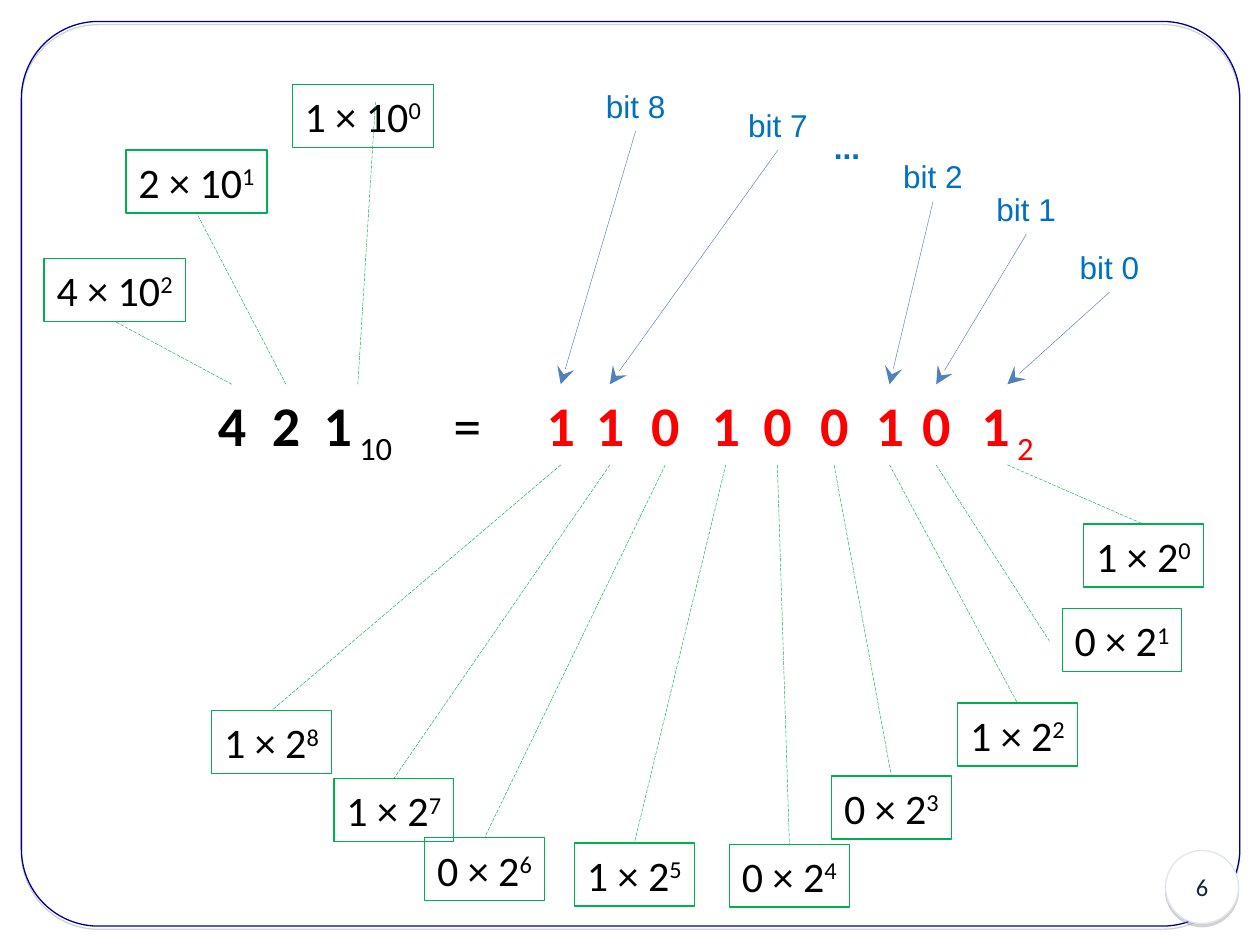
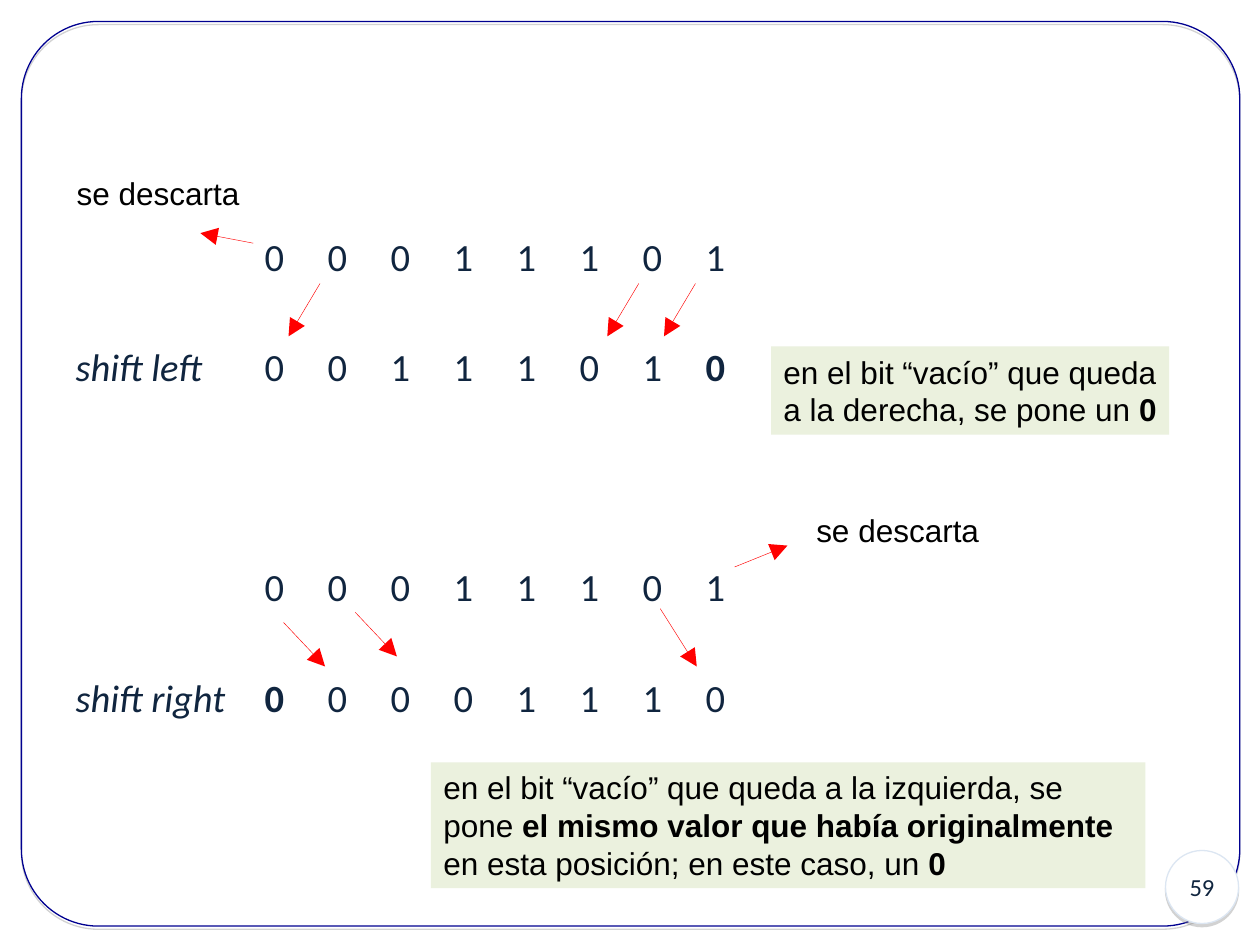
from lxml import etree
from pptx import Presentation
from pptx.dml.color import RGBColor
from pptx.enum.dml import MSO_LINE
from pptx.enum.shapes import MSO_CONNECTOR, MSO_SHAPE
from pptx.enum.text import MSO_ANCHOR, MSO_AUTO_SIZE, PP_ALIGN
from pptx.oxml.ns import qn
from pptx.util import Inches, Pt

STRAIGHT = MSO_CONNECTOR.STRAIGHT
RECTANGLE, ROUNDED, OVAL = MSO_SHAPE.RECTANGLE, MSO_SHAPE.ROUNDED_RECTANGLE, MSO_SHAPE.OVAL
TOP, MIDDLE = MSO_ANCHOR.TOP, MSO_ANCHOR.MIDDLE
LEFT, CENTER = PP_ALIGN.LEFT, PP_ALIGN.CENTER
FIT, FIXED = MSO_AUTO_SIZE.SHAPE_TO_FIT_TEXT, MSO_AUTO_SIZE.NONE
LONG_DASH = MSO_LINE.LONG_DASH

COLORS = {
    "black": "000000", "white": "FFFFFF", "red": "FF0000", "navy": "10253F",
    "frame": "000090", "badge": "DCE6F2", "shadow": "808080", "green": "00B050",
    "label": "0070C0", "arrow": "4F81BD", "note": "EBF1DE",
}
BOLD, ITALIC = {"bold": True}, {"italic": True}
SUPERSCRIPT, SUBSCRIPT = {"baseline": 30}, {"baseline": -25}


def color(name):
    return RGBColor.from_string(COLORS[name])


def add_text(shape, paragraphs, size=18, ink="black", font="Calibri", bold=False,
             fill=None, line=None, align=LEFT, anchor=TOP, wrap=False, fit=FIT):
    """Write paragraphs of (text, style) runs; a plain string is one run."""
    if fill:
        shape.fill.solid()
        shape.fill.fore_color.rgb = color(fill)
    else:
        shape.fill.background()
    if line:
        shape.line.color.rgb = color(line)
        shape.line.width = Pt(0.75)
    else:
        shape.line.fill.background()
    shape.shadow.inherit = False
    frame = shape.text_frame
    frame.word_wrap, frame.auto_size, frame.vertical_anchor = wrap, fit, anchor
    if isinstance(paragraphs, str):
        paragraphs = [[(paragraphs, {})]]
    for index, runs in enumerate(paragraphs):
        paragraph = frame.add_paragraph() if index else frame.paragraphs[0]
        paragraph.alignment = align
        for text, style in runs:
            run = paragraph.add_run()
            run.text = text
            run.font.name, run.font.size = font, Pt(size)
            run.font.color.rgb = color(ink)
            run.font.bold = style.get("bold", bold)
            run.font.italic = style.get("italic", False)
            if "baseline" in style:
                run.font._element.set("baseline", str(style["baseline"] * 1000))


def add_line(slide, start, end, ink, dash=None, arrowhead=None):
    points = [Inches(value) for value in (*start, *end)]
    connector = slide.shapes.add_connector(STRAIGHT, *points)
    connector.line.color.rgb = color(ink)
    connector.line.width = Pt(0.25)
    if dash:
        connector.line.dash_style = dash
    properties = connector._element.spPr
    if arrowhead:
        etree.SubElement(properties.find(qn("a:ln")), qn("a:tailEnd"),
                         type=arrowhead, w="lg", len="lg")
    etree.SubElement(properties, qn("a:effectLst"))


presentation = Presentation()
presentation.slide_width, presentation.slide_height = Inches(10), Inches(7.5)
numbers_slide = presentation.slides.add_slide(presentation.slide_layouts[6])
shift_slide = presentation.slides.add_slide(presentation.slide_layouts[1])

# Shared frame and page badge
for slide, page in ((numbers_slide, "6"), (shift_slide, "59")):
    border = slide.shapes.add_shape(
        ROUNDED, Inches(0.17), Inches(0.17), Inches(9.67), Inches(7.18))
    border.adjustments[0] = 0.085
    border.fill.background()
    border.line.color.rgb = color("frame")
    border.line.width = Pt(0.75)
    border.shadow.inherit = False
    badge = slide.shapes.add_shape(
        OVAL, Inches(9.25), Inches(6.75), Inches(0.58), Inches(0.58))
    add_text(badge, page, size=14, ink="navy", fill="white", line="badge",
             align=CENTER, anchor=MIDDLE, wrap=True, fit=FIXED)
    for shape in (border, badge):
        effects = shape._element.spPr.find(qn("a:effectLst"))
        shadow = etree.SubElement(effects, qn("a:outerShdw"), blurRad="0",
                                  dist=str(Pt(1.8)), dir="5400000", rotWithShape="0")
        tint = etree.SubElement(shadow, qn("a:srgbClr"), val=COLORS["shadow"])
        etree.SubElement(tint, qn("a:alpha"), val="35000")

# Slide 1: the digits of 421 in base 10 and base 2
DIGIT_TOP, DIGIT_BOTTOM = 3.05, 3.69
DIGIT_WIDTH, TERM_HEIGHT = 0.42, 0.5
WRAP_ROOM = 0.1  # keeps a subscript on the line of its digit
# digit, exponent, digit left, digit width, term left, term top
decimal_digits = [
    ("4", 2, 1.63, DIGIT_WIDTH, 0.35, 2.05),
    ("2", 1, 2.06, DIGIT_WIDTH, 1.00, 1.19),
    ("1", 0, 2.47, 0.74, 2.32, 0.67),
]
binary_digits = [
    ("1", 8, 4.24, DIGIT_WIDTH, 1.68, 5.64),
    ("1", 7, 4.63, DIGIT_WIDTH, 2.65, 6.18),
    ("0", 6, 5.07, DIGIT_WIDTH, 3.37, 6.65),
    ("1", 5, 5.55, DIGIT_WIDTH, 4.56, 6.69),
    ("0", 4, 5.96, DIGIT_WIDTH, 5.79, 6.70),
    ("0", 3, 6.41, DIGIT_WIDTH, 6.60, 6.16),
    ("1", 2, 6.85, DIGIT_WIDTH, 7.60, 5.58),
    ("0", 1, 7.22, DIGIT_WIDTH, 8.43, 4.83),
    ("1", 0, 7.69, 0.61, 8.60, 4.16),
]
digit_centers = {}
for base, digits, ink, term_width in ((10, decimal_digits, "black", 1.12),
                                      (2, binary_digits, "red", 0.95)):
    for digit, exponent, left, width, term_left, term_top in digits:
        term = numbers_slide.shapes.add_shape(
            RECTANGLE, Inches(term_left), Inches(term_top),
            Inches(term_width), Inches(TERM_HEIGHT))
        add_text(term, [[(f"{digit} × {base}", {}), (str(exponent), SUPERSCRIPT)]],
                 size=24, line="green")
        runs = [(digit, BOLD)]
        if exponent == 0:
            runs.append((f" {base}", SUBSCRIPT))
        box = numbers_slide.shapes.add_textbox(
            Inches(left), Inches(DIGIT_TOP), Inches(width + WRAP_ROOM), Inches(0.64))
        add_text(box, [runs], size=32, ink=ink, wrap=True, fit=FIXED)

        center = left + width / 2
        digit_centers[base, exponent] = center
        term_center = term_left + term_width / 2
        if base == 10:
            start = (center, DIGIT_TOP)
            end = (term_center, term_top + TERM_HEIGHT)
        else:
            start = (center, DIGIT_BOTTOM)
            end = (term_center, term_top)
        # Two dashed lines do not end at the middle of a term's edge
        end = {(10, 0): (2.98, 0.81), (2, 1): (8.33, 5.09)}.get((base, exponent), end)
        add_line(numbers_slide, start, end, "green", dash=LONG_DASH)

equals = numbers_slide.shapes.add_textbox(
    Inches(3.5), Inches(DIGIT_TOP), Inches(DIGIT_WIDTH), Inches(0.64))
add_text(equals, "=", size=32)

# Bit labels with arrows to their digits
LABEL_WIDTH, LABEL_HEIGHT = 0.67, 0.4
for bit, left, top in ((8, 4.71, 0.64), (7, 5.84, 0.79), (2, 7.07, 1.2),
                       (1, 7.81, 1.46), (0, 8.47, 1.92)):
    label = numbers_slide.shapes.add_textbox(
        Inches(left), Inches(top), Inches(LABEL_WIDTH), Inches(LABEL_HEIGHT))
    add_text(label, f"bit {bit}", ink="label", font="Arial")
    add_line(numbers_slide, (left + LABEL_WIDTH / 2, top + LABEL_HEIGHT),
             (digit_centers[2, bit], DIGIT_TOP), "arrow", arrowhead="stealth")
ellipsis = numbers_slide.shapes.add_textbox(
    Inches(6.52), Inches(0.97), Inches(0.41), Inches(LABEL_HEIGHT))
add_text(ellipsis, "...", ink="label", font="Arial", bold=True)

# Slide 2: bit rows on half-inch tab stops
title = shift_slide.shapes.title
title._element.getparent().remove(title._element)
bit_rows = shift_slide.placeholders[1]
bit_rows.left, bit_rows.top = Inches(0.5), Inches(0.3)
bit_rows.width, bit_rows.height = Inches(9), Inches(6.87)
initial_row = [("\t\t\t0\t0\t0\t1\t1\t1\t0\t1", {})]
add_text(bit_rows, [
    initial_row,
    [("shift left \t", ITALIC), ("0\t0\t1\t1\t1\t0\t1\t", {}), ("0", BOLD)],
    initial_row,
    [("shift right \t", ITALIC), ("0\t", BOLD), ("0\t0\t0\t1\t1\t1\t0", {})],
], size=22, ink="navy", anchor=MIDDLE, wrap=True, fit=FIXED)
for paragraph, space in zip(bit_rows.text_frame.paragraphs, (0, 30, 93, 30)):
    properties = paragraph._p.get_or_add_pPr()
    properties.set("marL", "0")
    properties.set("indent", "0")
    etree.SubElement(properties, qn("a:buNone"))
    tabs = etree.SubElement(properties, qn("a:tabLst"))
    for stop in range(11):
        etree.SubElement(tabs, qn("a:tab"), pos=str(Inches(stop * 0.5)), algn="l")
    paragraph.line_spacing = 1.25
    paragraph.space_before = Pt(space)
    paragraph.space_after = Pt(0)

# Arrows showing where the bits move
for start, end in (
    ((5.52, 2.25), (5.27, 2.67)), ((5.07, 2.25), (4.82, 2.67)),
    ((2.54, 2.25), (2.29, 2.67)), ((2.01, 1.93), (1.59, 1.85)),
    ((5.24, 4.83), (5.53, 5.29)), ((2.25, 4.94), (2.58, 5.29)),
    ((2.82, 4.86), (3.15, 5.21)), ((5.83, 4.5), (6.25, 4.33)),
):
    add_line(shift_slide, start, end, "red", arrowhead="triangle")

# Notes on the empty bit
left_note = [[("en el bit “vacío” que queda", {})],
             [("a la derecha, se pone un ", {}), ("0", BOLD)]]
right_note = [[("en el bit “vacío” que queda a la izquierda, se pone ", {}),
               ("el mismo valor que había originalmente ", BOLD),
               ("en esta posición; en este caso, un ", {}), ("0", BOLD)]]
for paragraphs, box, wrap in ((left_note, (6.12, 2.75, 3.16, 0.7), False),
                              (right_note, (3.42, 6.05, 5.67, 1), True)):
    note = shift_slide.shapes.add_shape(RECTANGLE, *[Inches(value) for value in box])
    add_text(note, paragraphs, font="Arial", fill="note", wrap=wrap)

# Labels of the discarded bits
for left, top in ((0.51, 1.33), (6.38, 4.01)):
    label = shift_slide.shapes.add_textbox(
        Inches(left), Inches(top), Inches(1.49), Inches(0.4))
    add_text(label, "se descarta", font="Arial")

presentation.save("out.pptx")
